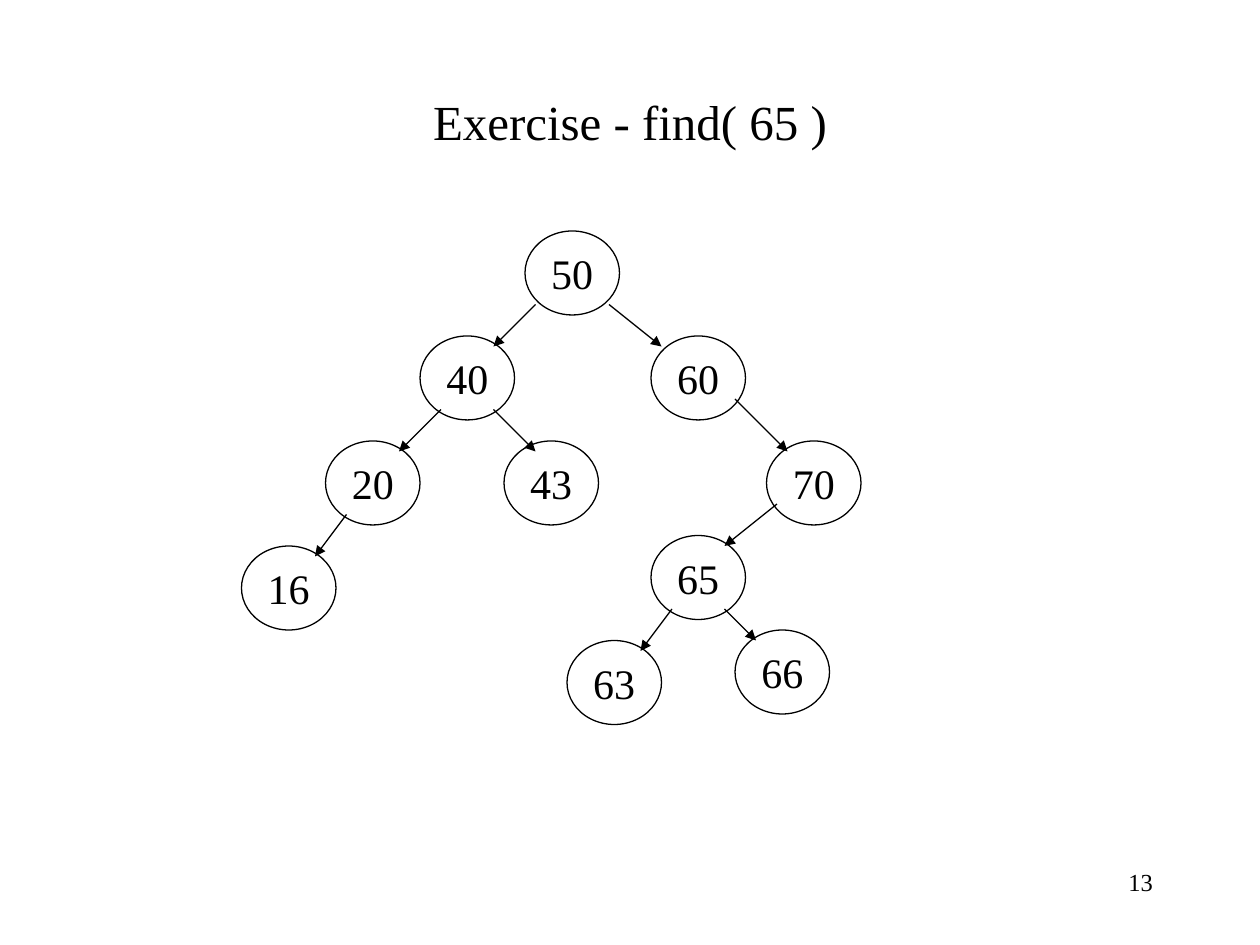
"""Build a slide with a binary search tree for a find exercise."""
from dataclasses import dataclass

from lxml import etree
from pptx import Presentation
from pptx.dml.color import RGBColor
from pptx.enum.shapes import MSO_CONNECTOR, MSO_SHAPE
from pptx.enum.text import MSO_ANCHOR, MSO_AUTO_SIZE, PP_ALIGN
from pptx.oxml.ns import qn
from pptx.util import Pt

OVAL = MSO_SHAPE.OVAL
STRAIGHT = MSO_CONNECTOR.STRAIGHT
TOP, MIDDLE = MSO_ANCHOR.TOP, MSO_ANCHOR.MIDDLE
NO_FIT = MSO_AUTO_SIZE.NONE
CENTER, RIGHT = PP_ALIGN.CENTER, PP_ALIGN.RIGHT
TITLE_ONLY = 5


@dataclass(frozen=True)
class Theme:
    font: str = "Times New Roman"
    ink: RGBColor = RGBColor(0, 0, 0)
    title: float = 28
    key: float = 24
    number: float = 14
    line: float = 0.75


@dataclass(frozen=True)
class Node:
    key: int
    left: float
    top: float


@dataclass(frozen=True)
class Edge:
    parent: int
    child: int
    exit_x: float
    exit_y: float = 42
    entry_x: float = 42
    entry_y: float = 6


THEME = Theme()
NODE_W, NODE_H = 54, 48
NODES = [
    Node(50, 300, 132), Node(60, 372, 192), Node(70, 438, 252),
    Node(65, 372, 306), Node(63, 324, 366), Node(66, 420, 360),
    Node(40, 240, 192), Node(43, 288, 252), Node(20, 186, 252),
    Node(16, 138, 312),
]
EDGES = [
    Edge(50, 40, 6), Edge(50, 60, 48, entry_x=6), Edge(40, 20, 12),
    Edge(20, 16, 12), Edge(40, 43, 42, entry_x=18),
    Edge(60, 70, 48, exit_y=36, entry_x=12), Edge(70, 65, 6, exit_y=36),
    Edge(65, 63, 12), Edge(65, 66, 42, entry_x=12),
]


def write(sp, text: str, size: float, align=CENTER, anchor=MIDDLE, wrap: bool = True) -> None:
    """Put one formatted line of text into a shape."""
    tf = sp.text_frame
    frame_format = {"word_wrap": wrap, "auto_size": NO_FIT, "vertical_anchor": anchor}
    for name, value in frame_format.items():
        setattr(tf, name, value)
    p = tf.paragraphs[0]
    p.alignment = align
    r = p.add_run()
    r.text = text
    for name, value in {"name": THEME.font, "size": Pt(size)}.items():
        setattr(r.font, name, value)
    r.font.color.rgb = THEME.ink


def outline(sp) -> None:
    """Give a shape or connector the theme's line."""
    sp.line.color.rgb = THEME.ink
    sp.line.width = Pt(THEME.line)


def add_node(s, node: Node) -> None:
    """Draw a tree node."""
    sp = s.shapes.add_shape(OVAL, Pt(node.left), Pt(node.top), Pt(NODE_W), Pt(NODE_H))
    sp.shadow.inherit = False
    sp.fill.background()
    outline(sp)
    write(sp, str(node.key), THEME.key, wrap=False)


def add_edge(s, edge: Edge, nodes: dict[int, Node]) -> None:
    """Draw an arrow from a parent node to its child."""
    parent, child = nodes[edge.parent], nodes[edge.child]
    sp = s.shapes.add_connector(
        STRAIGHT,
        Pt(parent.left + edge.exit_x), Pt(parent.top + edge.exit_y),
        Pt(child.left + edge.entry_x), Pt(child.top + edge.entry_y),
    )
    outline(sp)
    etree.SubElement(sp.line._get_or_add_ln(), qn("a:tailEnd"), type="triangle")
    etree.SubElement(sp._element.spPr, qn("a:effectLst"))


def main() -> None:
    """Build and save the slide."""
    prs = Presentation()
    prs.slide_width, prs.slide_height = Pt(720), Pt(540)
    s = prs.slides.add_slide(prs.slide_layouts[TITLE_ONLY])

    title = s.shapes.title
    box = {"left": 54, "top": 48, "width": 612, "height": 42}
    for name, value in box.items():
        setattr(title, name, Pt(value))
    write(title, "Exercise - find( 65 )", THEME.title)

    number = s.shapes.add_textbox(Pt(516), Pt(492), Pt(150), Pt(36))
    write(number, "13", THEME.number, RIGHT, TOP)

    for node in NODES:
        add_node(s, node)
    nodes = {node.key: node for node in NODES}
    for edge in EDGES:
        add_edge(s, edge, nodes)

    prs.save("out.pptx")


if __name__ == "__main__":
    main()
